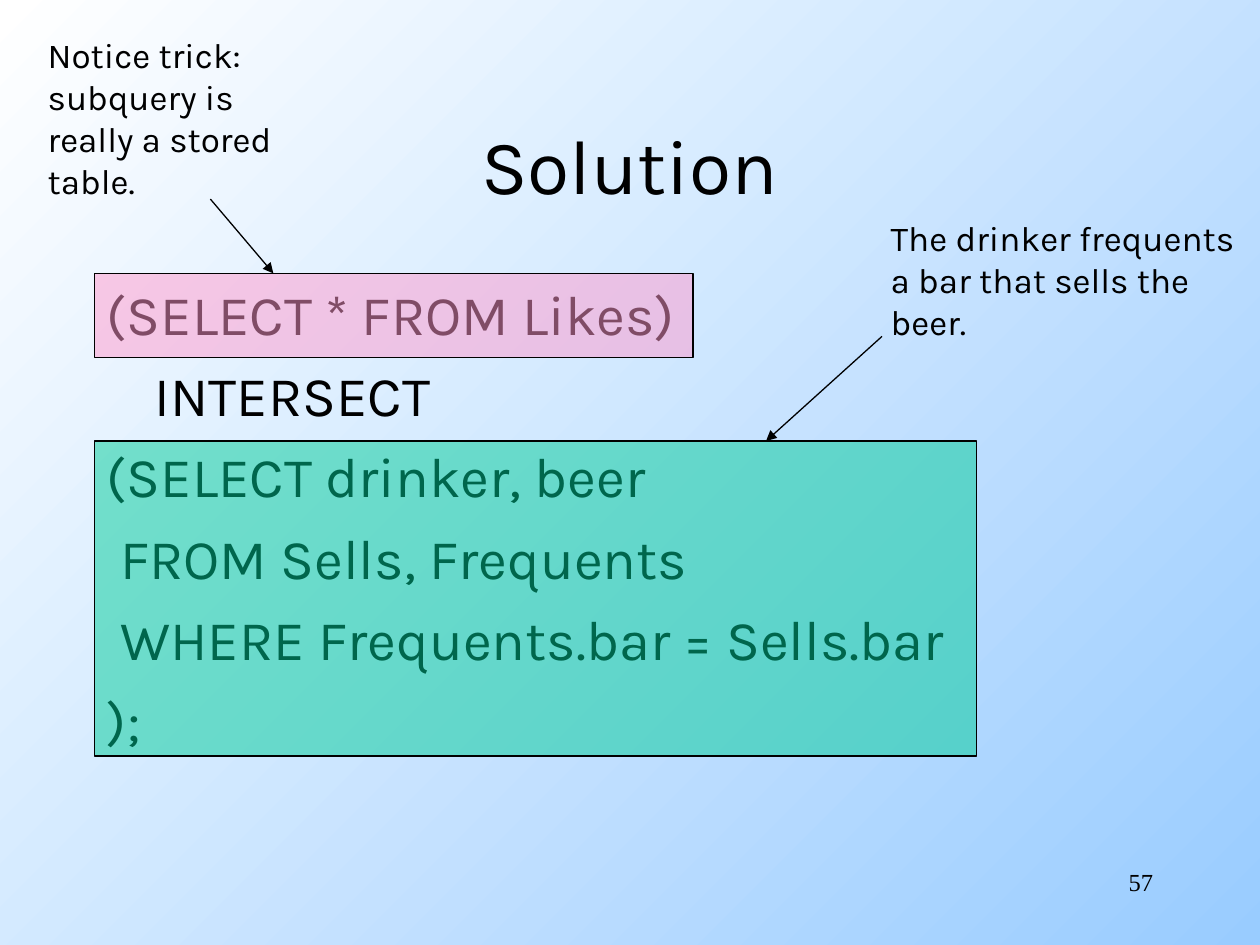
from lxml import etree
from pptx import Presentation
from pptx.dml.color import RGBColor
from pptx.enum import shapes, text
from pptx.oxml.ns import qn
from pptx.util import Inches, Pt

BLACK = RGBColor(0x00, 0x00, 0x00)
WHITE = RGBColor(0xFF, 0xFF, 0xFF)
SKY = RGBColor(0x99, 0xCC, 0xFF)
GREEN = RGBColor(0x00, 0xCC, 0x99)
PINK = RGBColor(0xFF, 0x99, 0xCC)

TITLE = "Solution"
PAGE_NUMBER = "57"
HANGING = 0.38
QUERY = [
    ("(SELECT * FROM Likes)", 0),
    ("INTERSECT", HANGING),
    ("(SELECT drinker, beer", 0),
    (" FROM Sells, Frequents", 0),
    (" WHERE Frequents.bar = Sells.bar", 0),
    (");", 0),
]
CALLOUTS = [
    {
        "lines": ["The drinker frequents", "a bar that sells the", "beer."],
        "note": (6.97, 1.67, 3.05, 1.1),
        "highlight": (0.75, 3.5, 7, 2.5),
        "color": GREEN,
        "arrow": (7, 2.67, 6.08, 3.5),
    },
    {
        "lines": ["Notice trick:", "subquery is", "really a stored", "table."],
        "note": (0.28, 0.22, 2.06, 1.44),
        "highlight": (0.75, 2.17, 4.75, 0.67),
        "color": PINK,
        "arrow": (1.67, 1.58, 2.17, 2.17),
    },
]


def inches(values):
    return [Inches(value) for value in values]


def add_text(slide, box, lines, size, font="Karla", align=text.PP_ALIGN.LEFT,
             anchor=text.MSO_ANCHOR.TOP, wrap=True):
    frame = slide.shapes.add_textbox(*inches(box)).text_frame
    frame.word_wrap = wrap
    frame.vertical_anchor = anchor
    frame.text = "\n".join(lines)
    for paragraph in frame.paragraphs:
        paragraph.alignment = align
        for run in paragraph.runs:
            run.font.name = font
            run.font.size = Pt(size)
            run.font.color.rgb = BLACK
    return frame


def add_query(slide):
    frame = add_text(slide, (0.75, 2.17, 8.5, 4.5), [line for line, _ in QUERY], 32)
    for index, (paragraph, (_, indent)) in enumerate(zip(frame.paragraphs, QUERY)):
        paragraph.space_before = Pt(8 if index else 0)
        paragraph._p.get_or_add_pPr().set("marL", str(Inches(indent)))


def add_highlight(slide, box, color):
    highlight = slide.shapes.add_shape(shapes.MSO_SHAPE.RECTANGLE, *inches(box))
    highlight.shadow.inherit = False
    highlight.fill.solid()
    highlight.fill.fore_color.rgb = color
    tint = highlight._element.spPr.find(qn("a:solidFill")).find(qn("a:srgbClr"))
    etree.SubElement(tint, qn("a:alpha")).set("val", "50000")
    highlight.line.color.rgb = BLACK
    highlight.line.width = Pt(0.75)


def add_arrow(slide, ends):
    arrow = slide.shapes.add_connector(shapes.MSO_CONNECTOR.STRAIGHT, *inches(ends))
    arrow.line.color.rgb = BLACK
    arrow.line.width = Pt(0.75)
    etree.SubElement(arrow.line._get_or_add_ln(), qn("a:tailEnd")).set("type", "triangle")
    etree.SubElement(arrow._element.spPr, qn("a:effectLst"))


def main():
    deck = Presentation()
    deck.slide_width, deck.slide_height = Inches(10), Inches(7.5)
    slide = deck.slides.add_slide(deck.slide_layouts[6])

    backdrop = slide.background.fill
    backdrop.gradient()
    backdrop.gradient_angle = 315
    for stop, color, position in zip(backdrop.gradient_stops, (WHITE, SKY), (0, 1)):
        stop.color.rgb = color
        stop.position = position

    add_text(slide, (7.17, 6.83, 2.08, 0.5), [PAGE_NUMBER], 14,
             font="Times New Roman", align=text.PP_ALIGN.RIGHT)
    add_text(slide, (0.75, 0.67, 8.5, 1.25), [TITLE], 44,
             align=text.PP_ALIGN.CENTER, anchor=text.MSO_ANCHOR.MIDDLE)
    add_query(slide)
    for callout in CALLOUTS:
        add_highlight(slide, callout["highlight"], callout["color"])
        add_text(slide, callout["note"], callout["lines"], 20, wrap=False)
        add_arrow(slide, callout["arrow"])

    deck.save("out.pptx")


if __name__ == "__main__":
    main()
